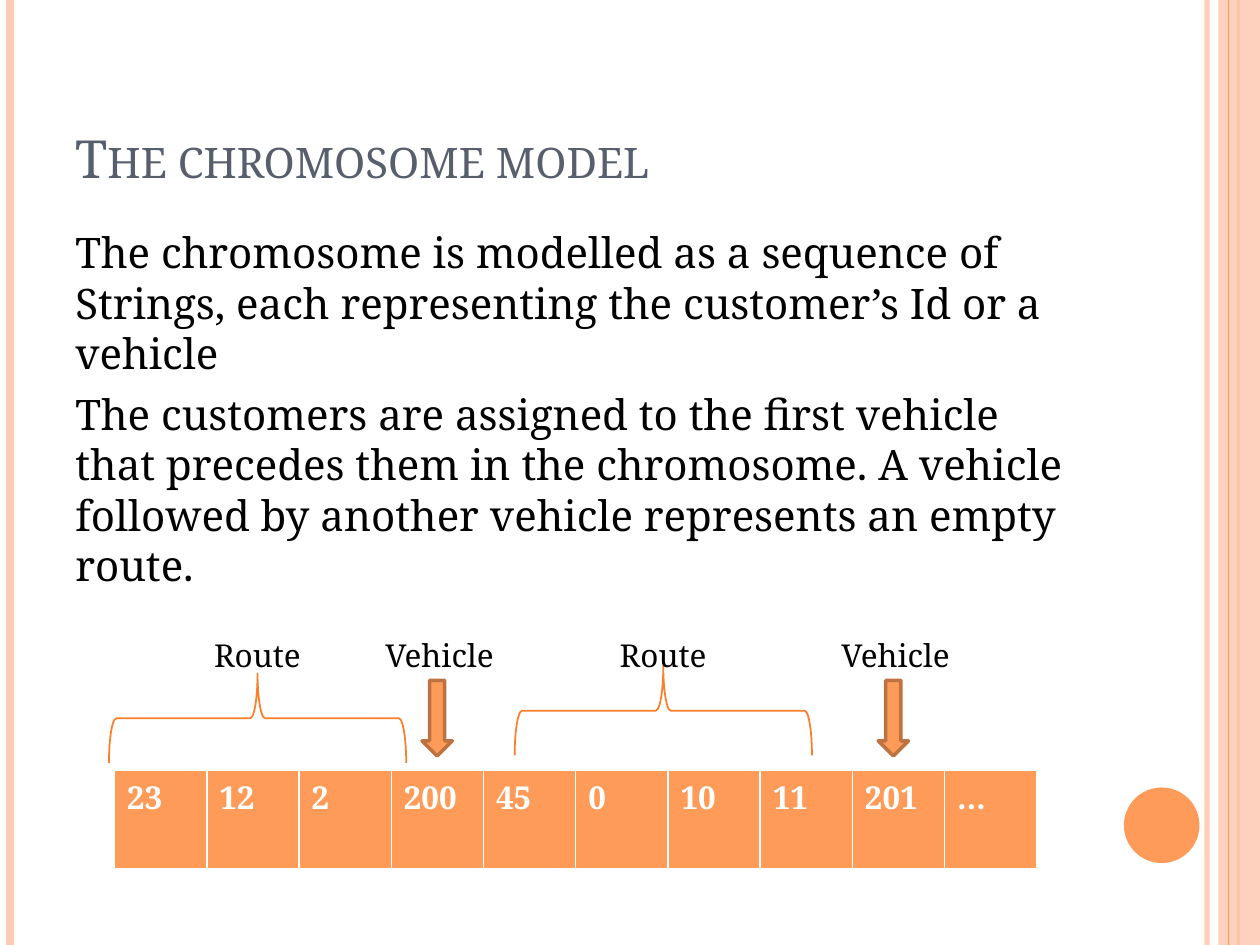
from dataclasses import dataclass

from lxml import etree
from pptx import Presentation
from pptx.dml.color import RGBColor
from pptx.enum import shapes, text
from pptx.oxml import ns
from pptx.util import Inches, Pt


@dataclass(frozen=True)
class Theme:
    font: str = "Noto Serif"
    orange: str = "FE9B58"
    peach: str = "FECBB5"
    brace: str = "FD7E28"
    arrow_edge: str = "BC7341"
    heading: str = "575F6D"
    ink: str = "000000"
    white: str = "FFFFFF"
    title_size: float = 30
    body_size: float = 24
    label_size: float = 18


THEME = Theme()
GENES = ["23", "12", "2", "200", "45", "0", "10", "11", "201", "…"]
BODY = [
    "The chromosome is modelled as a sequence of Strings, each representing "
    "the customer’s Id or a vehicle",
    "The customers are assigned to the first vehicle that precedes them in the "
    "chromosome. A vehicle followed by another vehicle represents an empty route.",
]


def rgb(color):
    return RGBColor.from_string(color)


def set_opacity(element, percent):
    color = element.find(".//" + ns.qn("a:srgbClr"))
    etree.SubElement(color, ns.qn("a:alpha"), val=str(percent * 1000))


def write_text(frame, paragraphs, size=THEME.label_size, color=THEME.ink,
               bold=False, small_caps=False, space_before=0):
    for index, content in enumerate(paragraphs):
        paragraph = frame.paragraphs[0] if index == 0 else frame.add_paragraph()
        paragraph.space_before = Pt(space_before)
        run = paragraph.add_run()
        run.text = content
        run.font.name = THEME.font
        run.font.size = Pt(size)
        run.font.bold = bold
        run.font.color.rgb = rgb(color)
        if small_caps:
            run.font._element.set("cap", "small")


def add_text(slide, box, paragraphs, wrap=True, anchor=text.MSO_ANCHOR.TOP, **style):
    shape = slide.shapes.add_textbox(*map(Inches, box))
    frame = shape.text_frame
    frame.word_wrap = wrap
    frame.vertical_anchor = anchor
    write_text(frame, paragraphs, **style)


def add_shape(slide, kind, box, fill=None, line=None, width=1, rotation=0):
    shape = slide.shapes.add_shape(kind, *map(Inches, box))
    shape.shadow.inherit = False
    shape.rotation = rotation
    if fill:
        shape.fill.solid()
        shape.fill.fore_color.rgb = rgb(fill)
    else:
        shape.fill.background()
    if line:
        shape.line.color.rgb = rgb(line)
        shape.line.width = Pt(width)
    else:
        shape.line.fill.background()
    return shape


def add_stripe(slide, x, color, width, opacity=100):
    stripe = slide.shapes.add_connector(
        shapes.MSO_CONNECTOR.STRAIGHT, Inches(x), 0, Inches(x), Inches(7.5))
    stripe.line.color.rgb = rgb(color)
    stripe.line.width = Pt(width)
    properties = stripe._element.spPr
    if opacity < 100:
        set_opacity(properties, opacity)
    etree.SubElement(properties, ns.qn("a:effectLst"))


def add_frame(slide):
    add_stripe(slide, 9.58, THEME.peach, 3, opacity=93)
    add_stripe(slide, 0.08, THEME.peach, 4.5)
    add_stripe(slide, 9.83, THEME.orange, 1.5)
    band = add_shape(slide, shapes.MSO_SHAPE.RECTANGLE, (9.67, 0, 0.33, 7.5), THEME.peach)
    set_opacity(band._element.spPr, 87)
    add_stripe(slide, 9.75, THEME.orange, 0.75)
    add_shape(slide, shapes.MSO_SHAPE.OVAL, (8.92, 6.25, 0.6, 0.6), THEME.orange)


def set_borders(cell, color, widths):
    properties = cell._tc.get_or_add_tcPr()
    for index, (side, width) in enumerate(widths.items()):
        border = etree.Element(ns.qn("a:" + side), w=str(Pt(width)))
        fill = etree.SubElement(border, ns.qn("a:solidFill"))
        etree.SubElement(fill, ns.qn("a:srgbClr"), val=color)
        properties.insert(index, border)


def add_chromosome(slide):
    box = (0.91, 6.11, 7.32, 0.8)
    table = slide.shapes.add_table(1, len(GENES), *map(Inches, box)).table
    for column, gene in enumerate(GENES):
        table.columns[column].width = Inches(box[2] / len(GENES))
        cell = table.cell(0, column)
        cell.fill.solid()
        cell.fill.fore_color.rgb = rgb(THEME.orange)
        set_borders(cell, THEME.white, {"lnL": 1, "lnR": 1, "lnT": 1, "lnB": 3})
        write_text(cell.text_frame, [gene], color=THEME.white, bold=True)


def add_vehicle(slide, x):
    add_shape(slide, shapes.MSO_SHAPE.DOWN_ARROW, (x, 5.4, 0.24, 0.6),
              THEME.orange, THEME.arrow_edge, 2)
    add_text(slide, (x - 0.39, 5, 1.06, 0.4), ["Vehicle"], wrap=False)


def add_route(slide, x, y):
    add_shape(slide, shapes.MSO_SHAPE.RIGHT_BRACE, (x, y, 0.71, 2.36),
              line=THEME.brace, rotation=270)
    add_text(slide, (x - 0.09, 5, 0.89, 0.4), ["Route"], wrap=False)


def main():
    presentation = Presentation()
    presentation.slide_width = Inches(10)
    presentation.slide_height = Inches(7.5)
    slide = presentation.slides.add_slide(presentation.slide_layouts[6])
    add_frame(slide)
    add_text(slide, (0.5, 0.3, 8.17, 1.25), ["The chromosome model"],
             anchor=text.MSO_ANCHOR.BOTTOM, size=THEME.title_size,
             color=THEME.heading, small_caps=True)
    add_text(slide, (0.5, 1.75, 8.17, 5.33), BODY, size=THEME.body_size, space_before=6)
    add_chromosome(slide)
    for x in (3.35, 6.97):
        add_vehicle(slide, x)
    for x, y in ((1.69, 4.52), (4.91, 4.46)):
        add_route(slide, x, y)
    presentation.save("out.pptx")


main()
